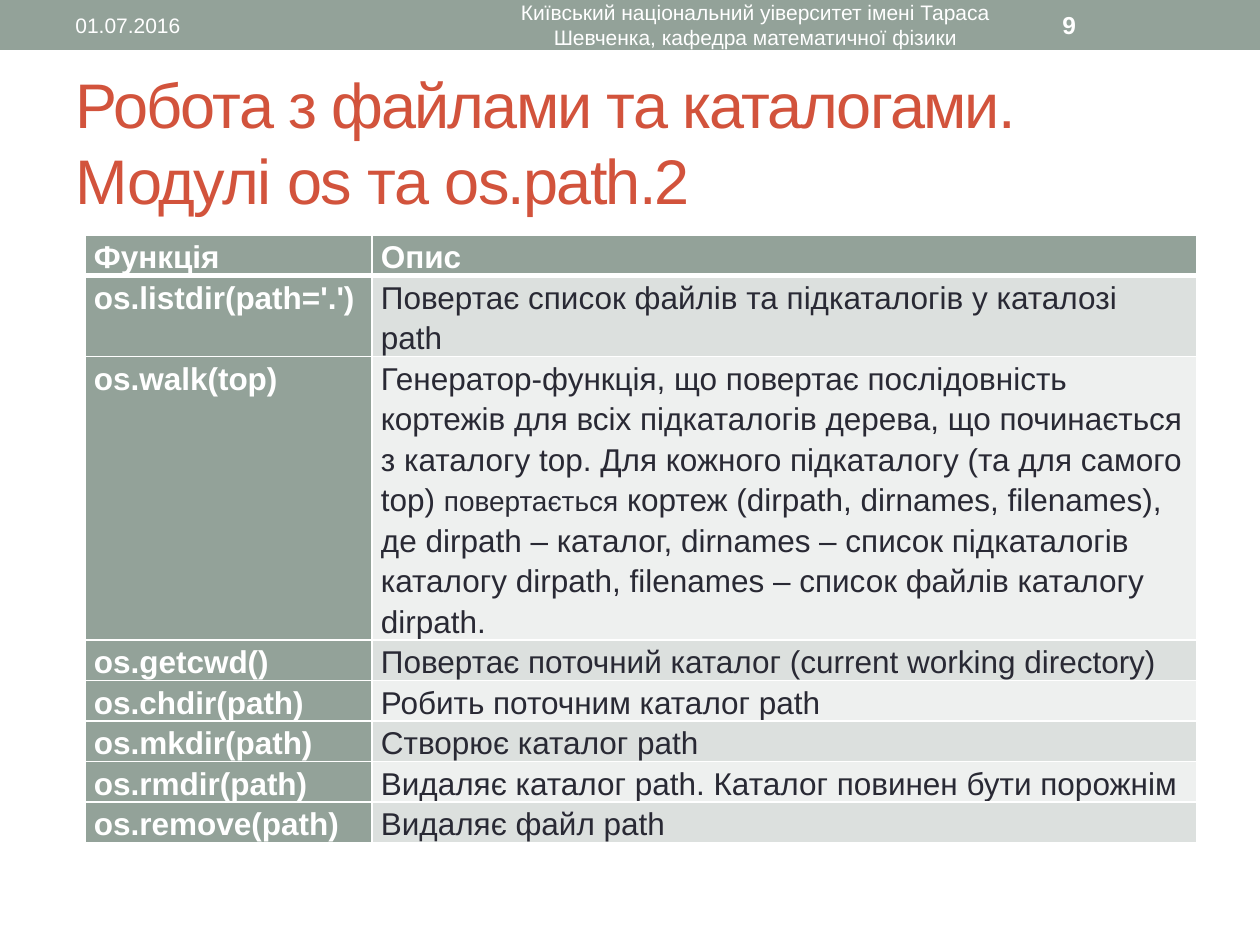
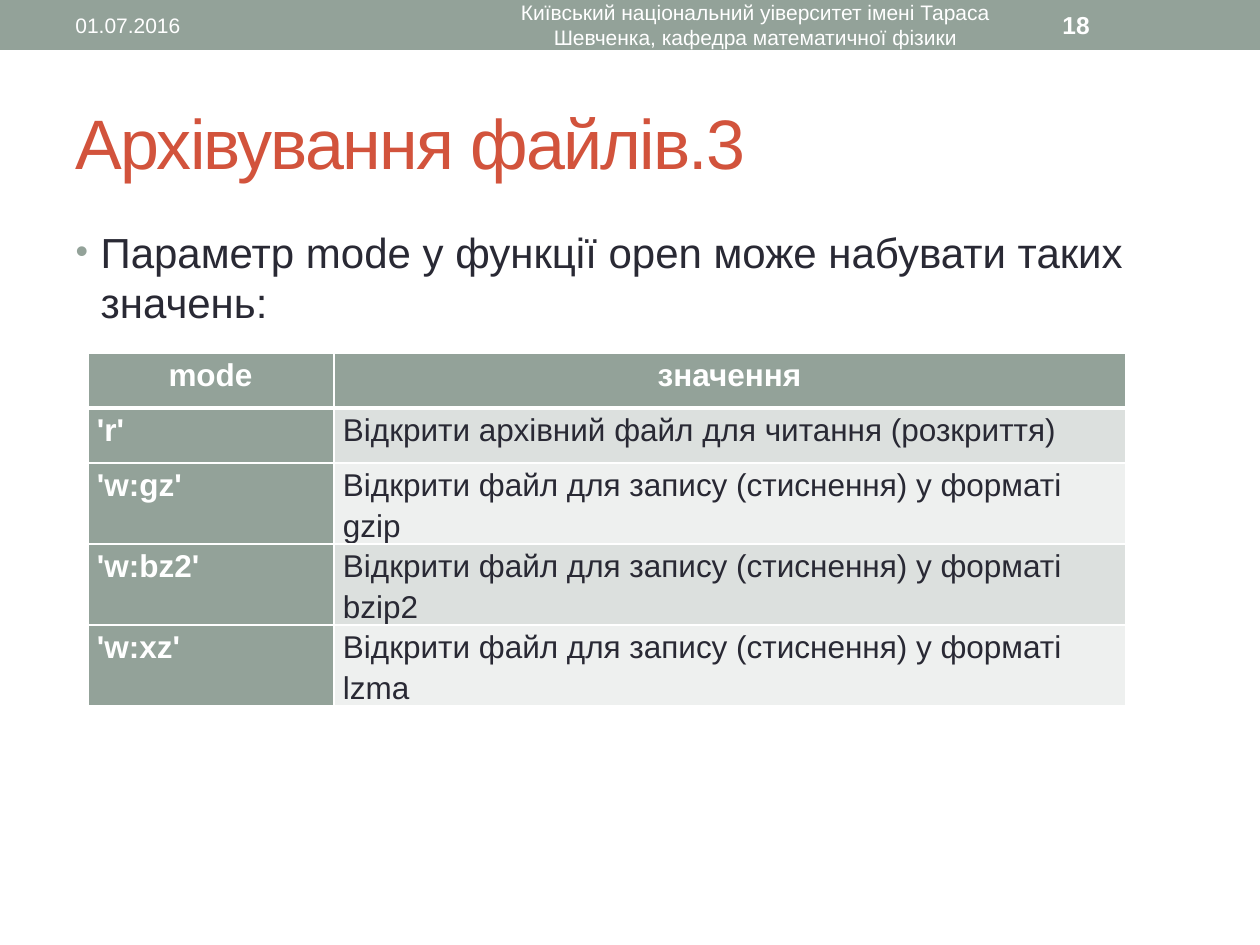
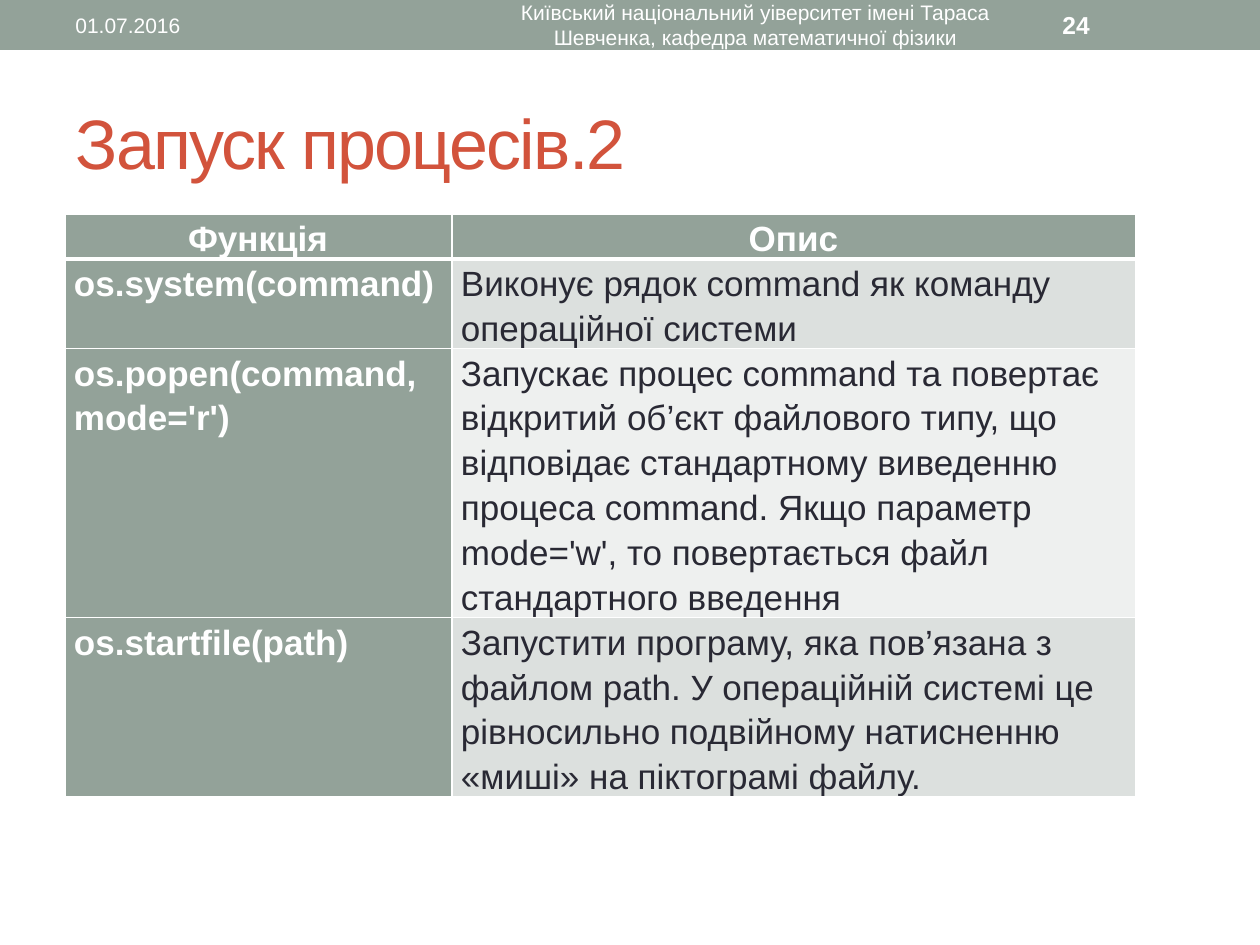
from lxml import etree
from pptx import Presentation
from pptx import util as u
from pptx.dml.color import RGBColor
from pptx.enum import lang, shapes, text
from pptx.oxml.ns import qn

HUES = {"sage": "93A299", "rust": "D2533C", "ink": "292934", "white": "FFFFFF",
        "mid": "DCE0DE", "pale": "EEF0EF"}
LEFT, MID = text.PP_ALIGN.LEFT, text.PP_ALIGN.CENTER
TONGUE = lang.MSO_LANGUAGE_ID
HEAD = "Київський національний уіверситет імені Тараса Шевченка, кафедра математичної фізики"


def px(n):
    return u.Emu(round(n * 914400 / 126))


def write(par, words, hue, size, bold=False, align=LEFT):
    par.alignment = align
    runs = [(words, size)] if isinstance(words, str) else words
    for part, pts in runs:
        run = par.add_run()
        run.text = part
        look = {"name": "Arial", "size": u.Pt(pts), "bold": bold,
                "language_id": TONGUE.ENGLISH_US if part.isascii() else TONGUE.UKRAINIAN}
        for key, val in look.items():
            setattr(run.font, key, val)
        run.font.color.rgb = RGBColor.from_string(HUES[hue])
    return par


walk = [
    ("Генератор-функція, що повертає послідовність кортежів для всіх підкаталогів дерева, "
     "що починається з каталогу top. Для кожного підкаталогу (та для самого top) ", 18),
    ("повертається", 16),
    (" кортеж (dirpath, dirnames, filenames), де dirpath – каталог, dirnames – список "
     "підкаталогів каталогу dirpath, filenames – список файлів каталогу dirpath.", 18),
]
files = [("Робота з файлами та каталогами. Модулі ", 36), ("os", 36), (" та ", 36),
         ("os.path.2", 36)]
pages = [
    {"num": "9", "title": files, "size": 36,
     "spot": (85, 235), "cols": (287, 825), "rows": [37, 37, 231] + [37] * 5,
     "pts": 18, "lead": 23.12, "align": LEFT, "cells": [
         ("Функція", "Опис"),
         ("os.listdir(path='.')", "Повертає список файлів та підкаталогів у каталозі path"),
         ("os.walk(top)", walk),
         ("os.getcwd()", "Повертає поточний каталог (current working directory)"),
         ("os.chdir(path)", "Робить поточним каталог path"),
         ("os.mkdir(path)", "Створює каталог path"),
         ("os.rmdir(path)", "Видаляє каталог path. Каталог повинен бути порожнім"),
         ("os.remove(path)", "Видаляє файл path")]},
    {"num": "18", "title": "Архівування файлів.3", "size": 40,
     "body": "Параметр mode у функції open може набувати таких значень:",
     "spot": (88, 353), "cols": (246, 792), "rows": [55] * 5,
     "pts": 18, "lead": 23.12, "align": MID, "cells": [
         ("mode", "значення"),
         ("'r'", "Відкрити архівний файл для читання (розкриття)"),
         ("'w:gz'", "Відкрити файл для запису (стиснення) у форматі gzip"),
         ("'w:bz2'", "Відкрити файл для запису (стиснення) у форматі bzip2"),
         ("'w:xz'", "Відкрити файл для запису (стиснення) у форматі lzma")]},
    {"num": "24", "title": "Запуск процесів.2", "size": 40,
     "spot": (65, 214), "cols": (387, 684), "rows": [44, 44, 188, 140],
     "pts": 20, "lead": 25.62, "align": MID, "cells": [
         ("Функція", "Опис"),
         ("os.system(command)", "Виконує рядок command як команду операційної системи"),
         ("os.popen(command, mode='r')",
          "Запускає процес command та повертає відкритий об’єкт файлового типу, що відповідає "
          "стандартному виведенню процеса command. Якщо параметр mode='w', то повертається "
          "файл стандартного введення"),
         ("os.startfile(path)",
          "Запустити програму, яка пов’язана з файлом path. У операційній системі це "
          "рівносильно подвійному натисненню «миші» на піктограмі файлу.")]},
]

deck = Presentation()
deck.slide_width, deck.slide_height = px(1260), px(945)

for page in pages:
    slide = deck.slides.add_slide(deck.slide_layouts[1 if "body" in page else 5])

    band = slide.shapes.add_shape(shapes.MSO_SHAPE.RECTANGLE, 0, 0, px(1260), px(50))
    band.shadow.inherit = False
    band.fill.solid()
    band.fill.fore_color.rgb = RGBColor.from_string(HUES["sage"])
    band.line.fill.background()

    strip = [(63, 400, "01.07.2016", 12, False, LEFT),
             (472, 567, HEAD, 12, False, MID),
             (1050, 147, page["num"], 14, True, LEFT)]
    for x, wide, words, pts, bold, align in strip:
        frame = slide.shapes.add_textbox(px(x), px(2), px(wide), px(46)).text_frame
        frame.word_wrap = True
        frame.vertical_anchor = text.MSO_ANCHOR.MIDDLE
        write(frame.paragraphs[0], words, "white", pts, bold, align)

    title = slide.shapes.title
    spots = [(title, 73, 136, text.MSO_ANCHOR.MIDDLE)]
    if "body" in page:
        spots.append((slide.placeholders[1], 220, 672, text.MSO_ANCHOR.TOP))
    for box, top, high, hold in spots:
        place = {"left": px(63), "top": px(top), "width": px(1134), "height": px(high)}
        for key, val in place.items():
            setattr(box, key, val)
        form = {"word_wrap": True, "vertical_anchor": hold, "auto_size": text.MSO_AUTO_SIZE.NONE}
        for key, val in form.items():
            setattr(box.text_frame, key, val)
    par = write(title.text_frame.paragraphs[0], page["title"], "rust", page["size"])
    for run in par.runs:
        run.font._element.set("spc", "-100")

    if "body" in page:
        par = slide.placeholders[1].text_frame.paragraphs[0]
        par.space_before = u.Pt(0)
        props = par._p.get_or_add_pPr()
        props.set("marL", str(px(25)))
        props.set("indent", str(-px(25)))
        tint = etree.SubElement(props, qn("a:buClr"))
        etree.SubElement(tint, qn("a:srgbClr"), val=HUES["sage"])
        etree.SubElement(props, qn("a:buSzPct"), val="85000")
        etree.SubElement(props, qn("a:buChar"), char="•")
        write(par, page["body"], "ink", 24)

    x, y = page["spot"]
    cols, rows = page["cols"], page["rows"]
    grid = slide.shapes.add_table(len(rows), len(cols), px(x), px(y),
                                  px(sum(cols)), px(sum(rows))).table
    for col, wide in zip(grid.columns, cols):
        col.width = px(wide)
    for row, high in zip(grid.rows, rows):
        row.height = px(high)
    for r, line in enumerate(page["cells"]):
        for c, words in enumerate(line):
            cell = grid.cell(r, c)
            edge = {"margin_left": px(9), "margin_right": px(10),
                    "margin_top": 0, "margin_bottom": 0}
            for key, val in edge.items():
                setattr(cell, key, val)
            dark = r == 0 or c == 0
            par = write(cell.text_frame.paragraphs[0], words, "white" if dark else "ink",
                        page["pts"], dark, page["align"] if r == 0 else LEFT)
            par.line_spacing = u.Pt(page["lead"])
            props = cell._tc.get_or_add_tcPr()
            for side in "LRTB":
                thick = 3 if (r, side) in ((0, "B"), (1, "T")) else 1
                rule = etree.SubElement(props, qn("a:ln" + side), w=str(u.Pt(thick)))
                paint = etree.SubElement(rule, qn("a:solidFill"))
                etree.SubElement(paint, qn("a:srgbClr"), val=HUES["white"])
            cell.fill.solid()
            hue = "sage" if dark else "mid" if r % 2 else "pale"
            cell.fill.fore_color.rgb = RGBColor.from_string(HUES[hue])

deck.save("out.pptx")
